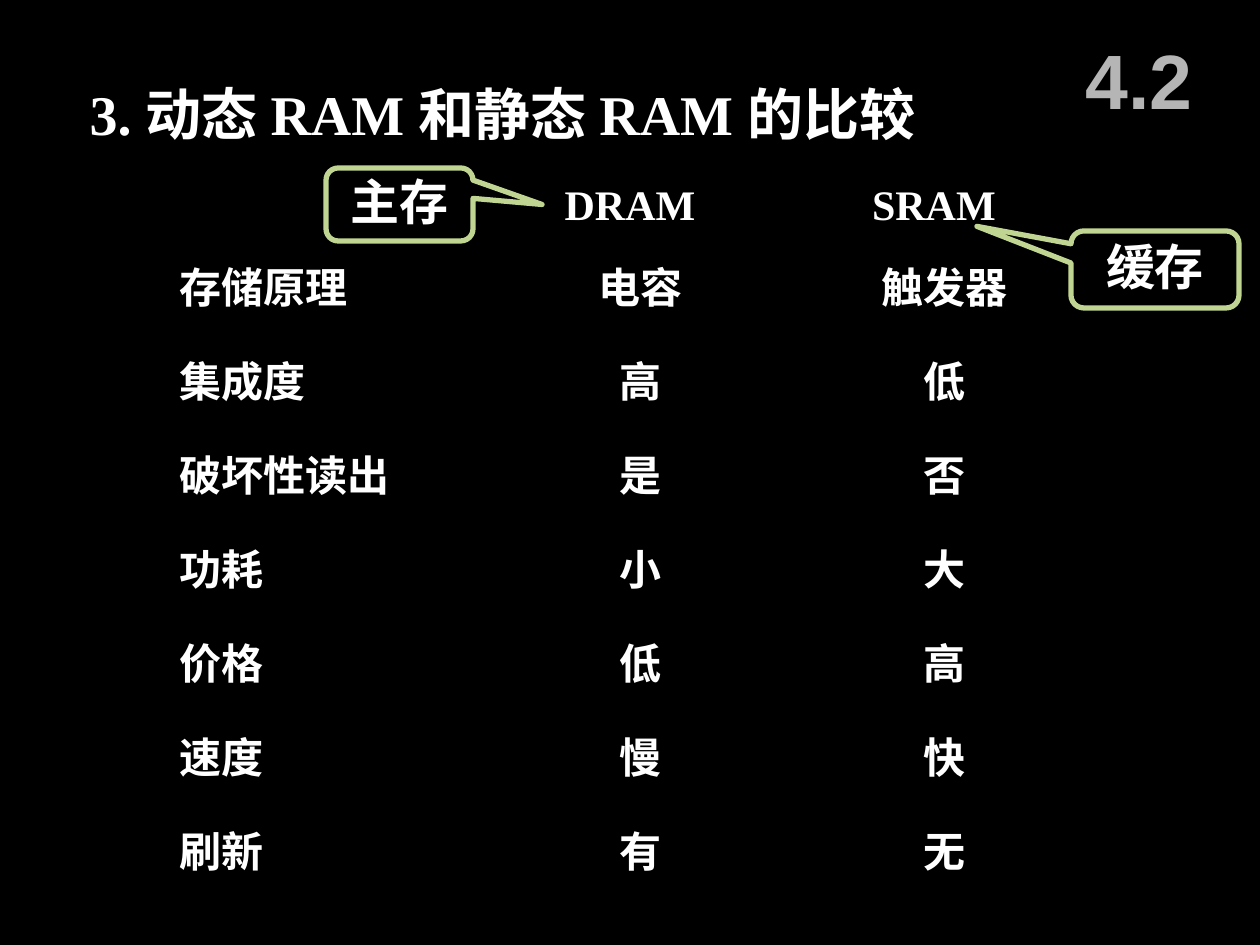
import dataclasses

import pptx
import pptx.dml.color
import pptx.enum.shapes
import pptx.enum.text
import pptx.oxml
import pptx.oxml.ns
import pptx.util

PX = 914400 // 126
ALIGN = pptx.enum.text.PP_ALIGN
ANCHOR = pptx.enum.text.MSO_ANCHOR
SERIF = "Times New Roman"
SANS = "Arial"

ROWS = [
    ("", "DRAM", "SRAM"),
    ("存储原理", "电容", "触发器"),
    ("集成度", "高", "低"),
    ("破坏性读出", "是", "否"),
    ("功耗", "小", "大"),
    ("价格", "低", "高"),
    ("速度", "慢", "快"),
    ("刷新", "有", "无"),
]


@dataclasses.dataclass(frozen=True)
class Theme:
    """Colours and type sizes of the slide."""
    background: str = "000000"
    text: str = "FFFFFF"
    outline: str = "C0D591"
    section: str = "B5B5B5"
    title_size: int = 32
    table_size: int = 24
    callout_size: int = 28
    section_size: int = 44


THEME = Theme()


def rgb(code):
    """Return the colour for a hex code."""
    return pptx.dml.color.RGBColor.from_string(code)


def px(*lengths):
    """Turn pixel lengths into EMU."""
    return [length * PX for length in lengths]


def style_paragraph(para, size, color=THEME.text, name=SERIF, align=ALIGN.CENTER):
    """Set alignment and bold font on a paragraph."""
    para.alignment = align
    para.font.size = pptx.util.Pt(size)
    para.font.bold = True
    para.font.name = name
    para.font.color.rgb = rgb(color)


def set_title(page, text, bounds):
    """Place and format the title."""
    title = page.shapes.title
    title.left, title.top, title.width, title.height = px(*bounds)
    frame = title.text_frame
    frame.auto_size = pptx.enum.text.MSO_AUTO_SIZE.NONE
    frame.vertical_anchor = ANCHOR.TOP
    frame.word_wrap = True
    frame.text = text
    style_paragraph(frame.paragraphs[0], THEME.title_size, align=ALIGN.LEFT)


def add_section_number(page, text, bounds):
    """Add the section number in the corner."""
    box = page.shapes.add_textbox(*px(*bounds))
    frame = box.text_frame
    frame.word_wrap = True
    frame.vertical_anchor = ANCHOR.MIDDLE
    frame.text = text
    style_paragraph(frame.paragraphs[0], THEME.section_size, THEME.section, SANS)


def clear_cell(cell):
    """Remove the borders and fill of a table cell."""
    properties = cell._tc.get_or_add_tcPr()
    for side in ("lnL", "lnR", "lnT", "lnB"):
        properties.append(pptx.oxml.parse_xml(
            f'<a:{side} {pptx.oxml.ns.nsdecls("a")} w="0"><a:noFill/></a:{side}>'))
    cell.fill.background()


def add_comparison(page, rows, left, top, widths, header_height, row_height):
    """Add the comparison table without borders."""
    height = header_height + row_height * (len(rows) - 1)
    frame = page.shapes.add_table(
        len(rows), len(widths), *px(left, top, sum(widths), height))
    table = frame.table
    table.first_row = table.horz_banding = False
    for column, width in zip(table.columns, widths):
        column.width = width * PX
    for row_index, row in enumerate(rows):
        table.rows[row_index].height = (row_height if row_index else header_height) * PX
        for column_index, text in enumerate(row):
            cell = table.cell(row_index, column_index)
            clear_cell(cell)
            cell.text = text
            cell.margin_left = 13 * PX
            cell.margin_right = (13 if row_index else 35) * PX
            align = ALIGN.CENTER if column_index else ALIGN.LEFT
            style_paragraph(cell.text_frame.paragraphs[0], THEME.table_size, align=align)


def add_callout(page, text, bounds, pointer):
    """Add an outlined callout whose pointer ends at the given offset."""
    callout = page.shapes.add_shape(
        pptx.enum.shapes.MSO_SHAPE.ROUNDED_RECTANGULAR_CALLOUT, *px(*bounds))
    callout.shadow.inherit = False
    callout.adjustments[0], callout.adjustments[1] = pointer
    callout.fill.background()
    callout.line.color.rgb = rgb(THEME.outline)
    callout.line.width = pptx.util.Pt(3)
    frame = callout.text_frame
    frame.margin_left = frame.margin_right = frame.margin_top = 0
    frame.margin_bottom = 8 * PX
    frame.vertical_anchor = ANCHOR.MIDDLE
    frame.text = text
    style_paragraph(frame.paragraphs[0], THEME.callout_size)


def main():
    """Build and save the slide."""
    deck = pptx.Presentation()
    deck.slide_width, deck.slide_height = px(1260, 945)
    page = deck.slides.add_slide(deck.slide_layouts[5])
    page.background.fill.solid()
    page.background.fill.fore_color.rgb = rgb(THEME.background)
    set_title(page, "3. 动态 RAM 和静态 RAM 的比较", (77, 73, 931, 79))
    add_comparison(page, ROWS, 167, 177, (322, 304, 304), 72, 94)
    add_callout(page, "主存", (326, 168, 147, 73), (0.97, 0))
    add_callout(page, "缓存", (1071, 231, 168, 77), (-1.06, -0.56))
    add_section_number(page, "4.2", (1060, 21, 158, 116))
    deck.save("out.pptx")


if __name__ == "__main__":
    main()
